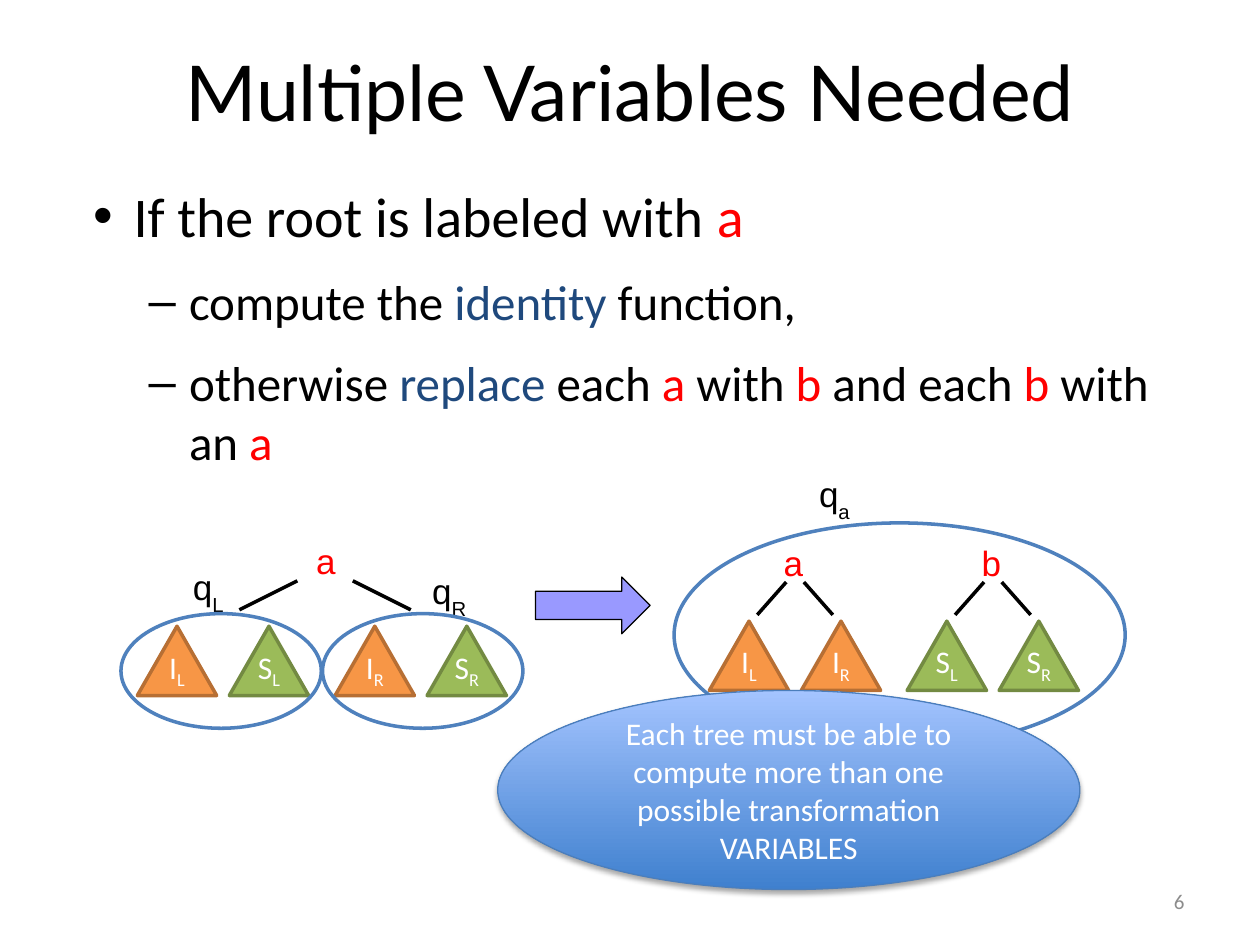
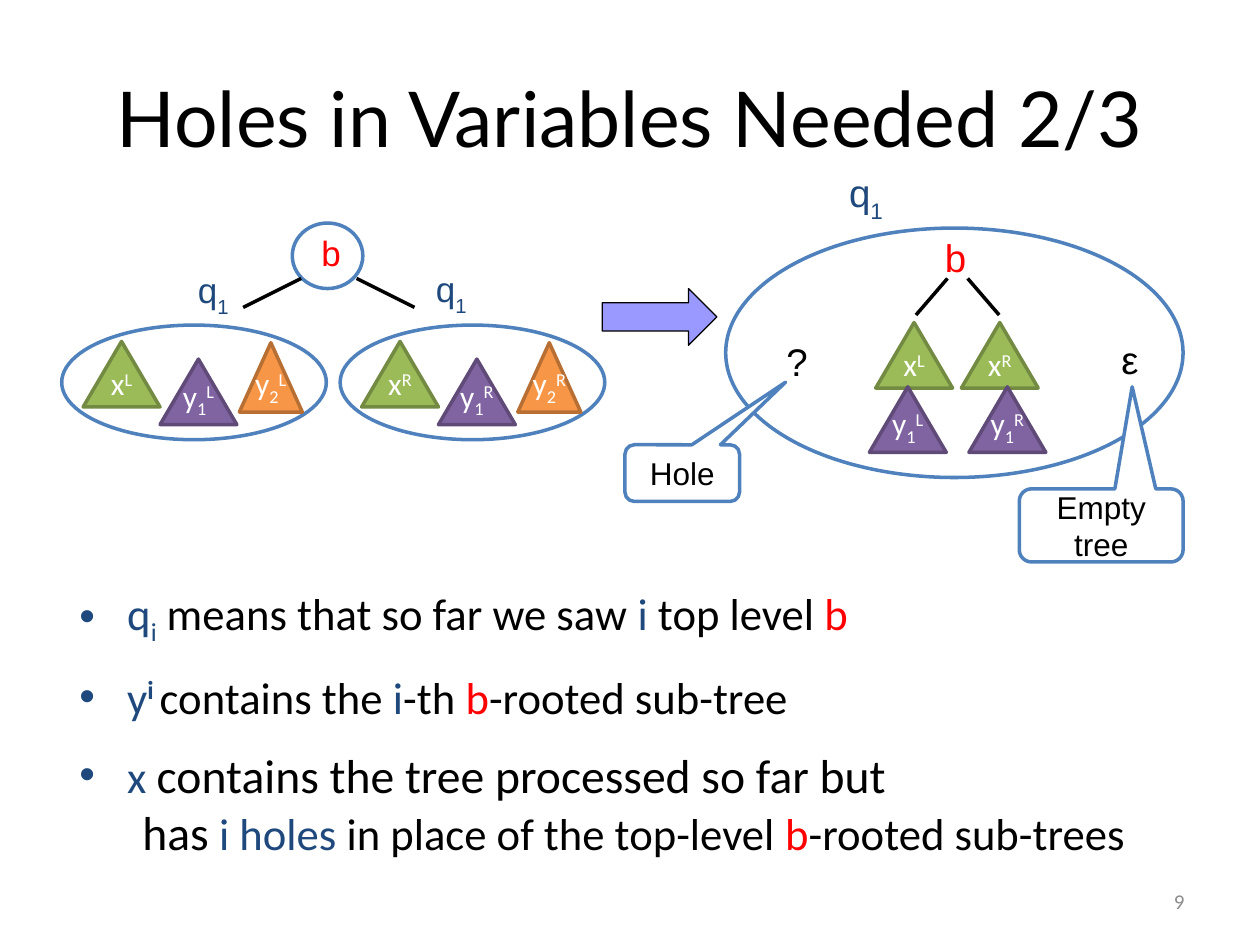
"""Build two slides on tree transformations that need several variables and holes."""
from lxml import etree
from pptx import Presentation
from pptx.dml.color import RGBColor
from pptx.enum.shapes import MSO_CONNECTOR, MSO_SHAPE
from pptx.enum.text import MSO_ANCHOR, MSO_AUTO_SIZE, PP_ALIGN
from pptx.oxml.ns import qn
from pptx.util import Pt

PX = 9144
C = {"black": "000000", "white": "FFFFFF", "red": "FF0000", "navy": "1F497D",
     "outline": "4F81BD", "arrow": "9999FF", "grey": "8C8C8C",
     "grad_low": "3F80CE", "grad_high": "A4C4FF", "grad_line": "4B7EBC"}
TREES = {"orange": ("F79646", "B76F34"), "green": ("9BBB59", "738A42"),
         "purple": ("8064A2", "5F4A78")}
TRIANGLE, OVAL = MSO_SHAPE.ISOSCELES_TRIANGLE, MSO_SHAPE.OVAL
ARROW, CALLOUT = MSO_SHAPE.RIGHT_ARROW, MSO_SHAPE.ROUNDED_RECTANGULAR_CALLOUT
STRAIGHT = MSO_CONNECTOR.STRAIGHT
TOP, MIDDLE, BOTTOM = MSO_ANCHOR.TOP, MSO_ANCHOR.MIDDLE, MSO_ANCHOR.BOTTOM
CENTER, RIGHT = PP_ALIGN.CENTER, PP_ALIGN.RIGHT
GROW, FIXED = MSO_AUTO_SIZE.SHAPE_TO_FIT_TEXT, MSO_AUTO_SIZE.NONE
RED, NAVY = {"color": "red"}, {"color": "navy"}


def rgb(value):
    return RGBColor.from_string(value)


def emu(*lengths):
    return [n * PX for n in lengths]


def apply(target, values):
    for name, value in values.items():
        setattr(target, name, value)


def write(p, runs, size, font="Calibri", color="black"):
    for text, extra in runs:
        fmt = {"size": size, "color": color, **extra}
        r = p.add_run()
        r.text = text
        apply(r.font, {"name": font, "size": Pt(fmt["size"]), "bold": fmt.get("bold", False)})
        r.font.color.rgb = rgb(C[fmt["color"]])
        if "base" in fmt:
            r._r.get_or_add_rPr().set("baseline", str(fmt["base"] * 1000))


def plain(text):
    return [(text, {})]


def indexed(name, sub="", sup="", drop=-25):
    runs = plain(name)
    if sub:
        runs.append((sub, {"base": drop}))
    if sup:
        runs.append((sup, {"base": 30}))
    return runs


def set_frame(tf, anchor, wrap=True, inset=(9, 4)):
    dx, dy = emu(*inset)
    apply(tf, {"vertical_anchor": anchor, "word_wrap": wrap, "margin_left": dx,
               "margin_right": dx, "margin_top": dy, "margin_bottom": dy})


def add_shape(s, kind, box, fill=None, line=C["outline"], width=2):
    sp = s.shapes.add_shape(kind, *emu(*box))
    sp.shadow.inherit = False
    if fill:
        sp.fill.solid()
        sp.fill.fore_color.rgb = rgb(fill)
    else:
        sp.fill.background()
    sp.line.color.rgb = rgb(line)
    sp.line.width = Pt(width)
    return sp


def add_label(s, box, runs, size=20, color="black", inset=(9, 4)):
    tf = s.shapes.add_textbox(*emu(*box)).text_frame
    set_frame(tf, TOP, inset=inset)
    tf.auto_size = GROW
    write(tf.paragraphs[0], runs, size, "Arial", color)


def add_tree(s, box, kind, runs):
    fill, line = TREES[kind]
    tf = add_shape(s, TRIANGLE, box, fill, line).text_frame
    set_frame(tf, BOTTOM, wrap=False)
    p = tf.paragraphs[0]
    p.alignment = CENTER
    write(p, runs, 18, color="white")


def add_branches(s, cx, y, gap, run, drop):
    for side in (-1, 1):
        start, end = cx + side * gap, cx + side * (gap + run)
        cxn = s.shapes.add_connector(STRAIGHT, *emu(start, y, end, y + drop))
        cxn.line.color.rgb = rgb(C["black"])
        cxn.line.width = Pt(0)
        etree.SubElement(cxn._element.spPr, qn("a:effectLst"))


def add_arrow(s, x, y):
    add_shape(s, ARROW, (x, y, 91, 45), C["arrow"], C["black"], 0)


def add_callout(s, box, tail, text):
    sp = add_shape(s, CALLOUT, box, C["white"])
    for i, value in enumerate((*tail, 0.167)):
        sp.adjustments[i] = value
    set_frame(sp.text_frame, MIDDLE)
    p = sp.text_frame.paragraphs[0]
    p.alignment = CENTER
    write(p, plain(text), 18, "Arial")


def add_balloon(s, box, lines):
    sp = add_shape(s, OVAL, box, C["grad_low"], C["grad_line"], 0.75)
    sp.fill.gradient()
    sp.fill.gradient_angle = 90
    for stop, name in zip(sp.fill.gradient_stops, ("grad_low", "grad_high")):
        stop.color.rgb = rgb(C[name])
    effects = sp._element.spPr.find(qn("a:effectLst"))
    shadow = etree.SubElement(effects, qn("a:outerShdw"), blurRad=str(Pt(3.1)),
                              dist=str(Pt(1.8)), dir="5400000", rotWithShape="0")
    tint = etree.SubElement(shadow, qn("a:srgbClr"), val=C["black"])
    etree.SubElement(tint, qn("a:alpha"), val="35000")
    tf = sp.text_frame
    set_frame(tf, MIDDLE, inset=(10, 5))
    for i, text in enumerate(lines):
        p = tf.add_paragraph() if i else tf.paragraphs[0]
        p.alignment = CENTER
        write(p, plain(text), 18, color="white")


def add_body(s, box, items, size):
    body = s.placeholders[1]
    apply(body, dict(zip(("left", "top", "width", "height"), emu(*box))))
    tf = body.text_frame
    tf.auto_size = FIXED
    for i, (level, left, hang, bullet, after, runs) in enumerate(items):
        p = tf.add_paragraph() if i else tf.paragraphs[0]
        apply(p, {"level": level, "space_before": Pt(0), "space_after": Pt(after)})
        pPr = p._p.get_or_add_pPr()
        pPr.set("marL", str(left * PX))
        pPr.set("indent", str(-hang * PX))
        if bullet:
            etree.SubElement(pPr, qn("a:buFont"), typeface="Arial")
            etree.SubElement(pPr, qn("a:buChar"), char=bullet)
        else:
            etree.SubElement(pPr, qn("a:buNone"))
        write(p, runs, size - 4 * level)


def new_slide(prs, title, number, anchor):
    s = prs.slides.add_slide(prs.slide_layouts[1])
    head = s.shapes.title
    apply(head, dict(zip(("left", "top", "width", "height"), emu(50, 30, 900, 125))))
    head.text_frame.vertical_anchor = anchor
    p = head.text_frame.paragraphs[0]
    p.alignment = CENTER
    write(p, plain(title), 44, "Lato")
    tf = s.shapes.add_textbox(*emu(717, 695, 233, 40)).text_frame
    set_frame(tf, MIDDLE, inset=(10, 5))
    tf.paragraphs[0].alignment = RIGHT
    write(tf.paragraphs[0], plain(number), 12, color="grey")
    return s


def multiple_variables(prs):
    s = new_slide(prs, "Multiple Variables Needed", "6", TOP)
    add_body(s, (53, 139, 900, 577), [
        (0, 43, 32, "•", 12.9, [("If the root is labeled with ", {}), ("a", RED)]),
        (1, 87, 32, "–", 12.9, [("compute the ", {}), ("identity ", NAVY), ("function,", {})]),
        (1, 87, 32, "–", 12.9, [
            ("otherwise ", {}), ("replace ", NAVY), ("each ", {}), ("a", RED),
            (" with ", {}), ("b", RED), (" and each ", {}), ("b ", RED),
            ("with an ", {}), ("a", RED)]),
    ], 32)
    for x, y, name in ((242, 424, "a"), (613, 426, "a"), (770, 426, "b")):
        add_label(s, (x, y, 33, 43), plain(name), color="red")
    for x, y, state in ((144, 445, "L"), (334, 448, "R"), (641, 371, "a")):
        add_label(s, (x, y, 48, 43), indexed("q", state, drop=-33))
    add_branches(s, 258, 461, 22, 46, 23)
    for cx in (631, 788):
        add_branches(s, cx, 462, 7, 23, 26)
    add_arrow(s, 425, 458)
    kinds = {"I": "orange", "S": "green"}
    pairs = ((109, 497, ("IL", "SL")), (266, 497, ("IR", "SR")),
             (563, 493, ("IL", "IR")), (720, 493, ("SL", "SR")))
    for x, y, names in pairs:
        for i, (name, side) in enumerate(names):
            add_tree(s, (x + 73 * i, y, 63, 55), kinds[name], indexed(name, side))
    for box in ((96, 487, 159, 91), (256, 487, 159, 91), (535, 415, 358, 178)):
        add_shape(s, OVAL, box)
    add_balloon(s, (395, 548, 462, 158), (
        "Each tree must be able to compute more than one possible transformation",
        "VARIABLES"))


def holes_in_variables(prs):
    s = new_slide(prs, "Holes in Variables Needed 2/3", "9", MIDDLE)
    large = {"size": 27.2}
    add_body(s, (53, 460, 900, 230), [
        (0, 38, 38, "•", 12.9, [
            ("q", NAVY), ("i", {**NAVY, "base": -25}), (" means that so far we saw ", {}),
            ("i", NAVY), (" top level ", {}), ("b", RED)]),
        (0, 38, 38, "•", 12.9, [
            ("y", NAVY), ("i ", {**NAVY, "bold": True, "base": 33}), ("contains the ", {}),
            ("i", NAVY), ("-th ", {}), ("b", RED), ("-rooted sub-tree", {})]),
        (0, 38, 38, "•", 0, [
            ("x ", NAVY), ("contains the tree processed so far but", large)]),
        (0, 50, 0, None, 12.9, [
            ("has", large), (" ", {}), ("i holes ", NAVY),
            ("in place of the top-level ", {}), ("b", RED), ("-rooted sub-trees", {})]),
    ], 25.5)
    add_label(s, (246, 180, 33, 43), plain("b"), color="red")
    add_shape(s, OVAL, (232, 177, 56, 52))
    add_branches(s, 261, 221, 22, 46, 23)
    add_arrow(s, 478, 229)
    for x, y in ((148, 209), (337, 208)):
        add_label(s, (x, y, 48, 43), indexed("q", "1", drop=-33), color="navy")
    for x, side in ((49, "L"), (270, "R")):
        add_shape(s, OVAL, (x, 258, 210, 91))
        add_tree(s, (x + 17, 271, 61, 52), "green", indexed("x", sup=side))
        add_tree(s, (x + 78, 285, 61, 52), "purple", indexed("y", "1", side))
        add_tree(s, (x + 141, 272, 50, 55), "orange", indexed("y", "2", side))

    add_shape(s, OVAL, (576, 181, 363, 198), C["white"])
    for x_tree, y_tree, side in ((695, 690, "L"), (763, 769, "R")):
        add_tree(s, (x_tree, 256, 61, 52), "green", indexed("x", sup=side))
        add_tree(s, (y_tree, 307, 61, 52), "purple", indexed("y", "1", side))
    add_label(s, (740, 181, 37, 47), plain("b"), 22, "red", (10, 5))
    add_label(s, (664, 129, 52, 47), indexed("q", "1", drop=-33), 22, "navy", (10, 5))
    add_branches(s, 760, 221, 8, 25, 29)
    add_label(s, (881, 263, 31, 46), plain("ε"), 22)
    add_label(s, (615, 264, 35, 46), plain("?"), 22)
    add_callout(s, (496, 353, 91, 45), (0.901, -1.604), "Hole")
    add_callout(s, (809, 388, 130, 58), (0.189, -1.897), "Empty tree")


def main():
    prs = Presentation()
    prs.slide_width, prs.slide_height = emu(1000, 750)
    multiple_variables(prs)
    holes_in_variables(prs)
    prs.save("out.pptx")


if __name__ == "__main__":
    main()
